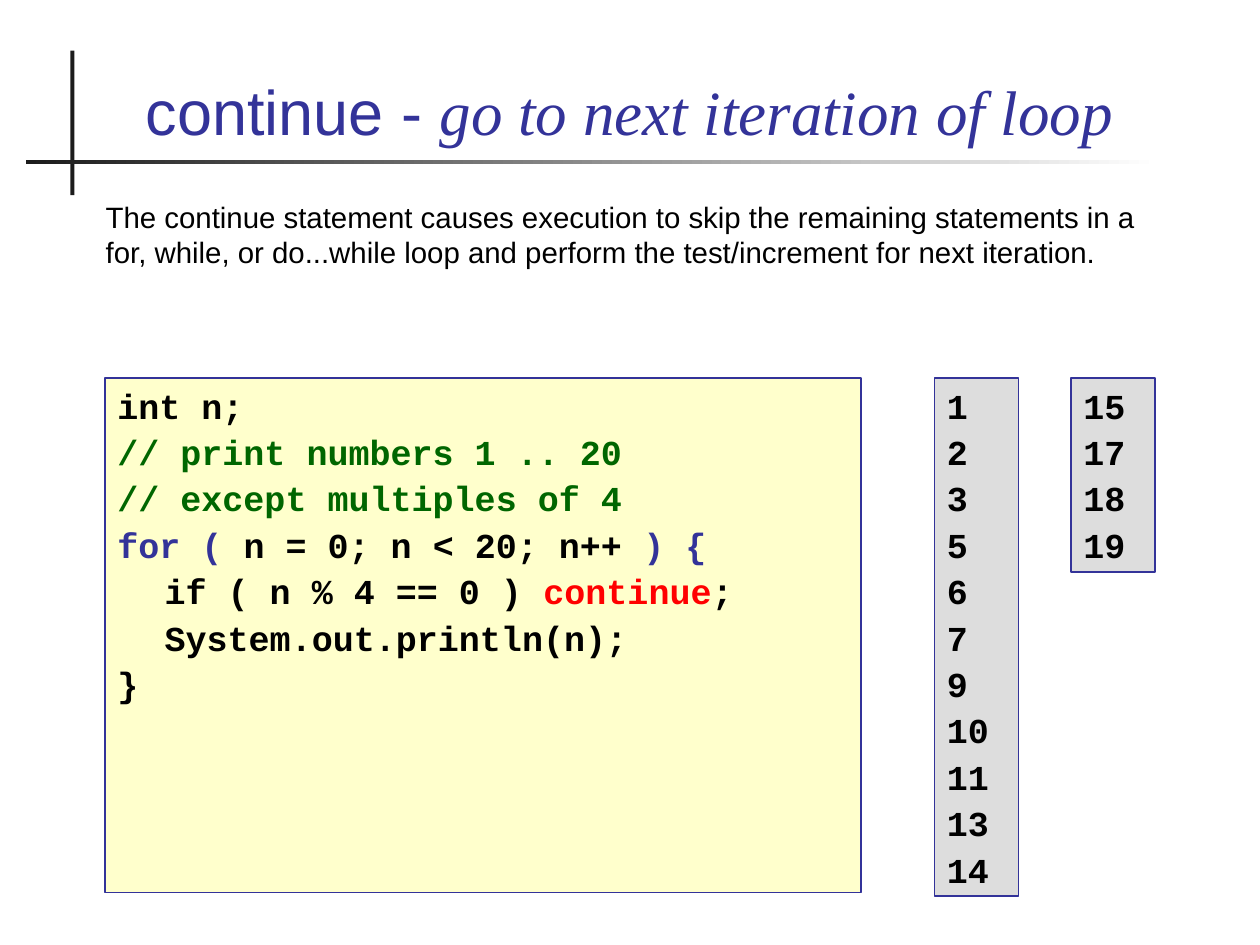
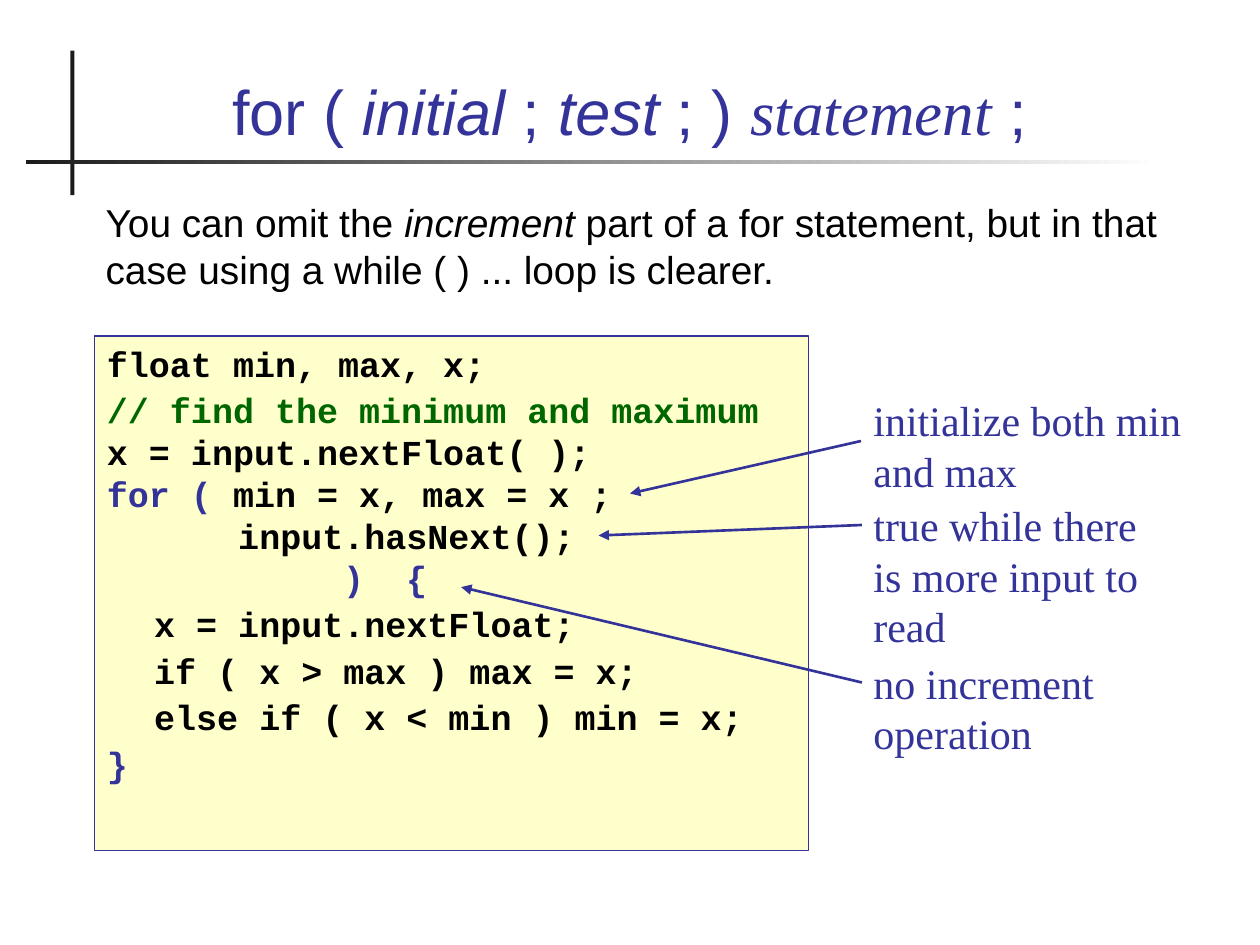
from lxml import etree
from pptx import Presentation
from pptx.dml.color import RGBColor
from pptx.enum.shapes import MSO_CONNECTOR, MSO_SHAPE
from pptx.enum.text import MSO_ANCHOR, MSO_AUTO_SIZE, PP_ALIGN
from pptx.oxml.ns import qn
from pptx.util import Pt

RECTANGLE = MSO_SHAPE.RECTANGLE
STRAIGHT = MSO_CONNECTOR.STRAIGHT
TOP, BOTTOM = MSO_ANCHOR.TOP, MSO_ANCHOR.BOTTOM
LEFT, CENTER = PP_ALIGN.LEFT, PP_ALIGN.CENTER
NO_AUTOFIT = MSO_AUTO_SIZE.NONE

INDIGO = RGBColor(0x33, 0x33, 0x99)
GREEN = RGBColor(0x00, 0x66, 0x00)
RED = RGBColor(0xFF, 0x00, 0x00)
BLACK = RGBColor(0x00, 0x00, 0x00)
WHITE = RGBColor(0xFF, 0xFF, 0xFF)
CHARCOAL = RGBColor(0x1C, 0x1C, 0x1C)
CREAM = RGBColor(0xFF, 0xFF, 0xCC)
SILVER = RGBColor(0xDD, 0xDD, 0xDD)

SERIF = "Times New Roman"
TITLE = {"name": "Arial", "size": Pt(36), "color": INDIGO}
BODY = {"name": "Arial", "color": BLACK}
CODE = {"name": "Courier New", "size": Pt(20), "bold": True, "color": BLACK}
LABEL = {"name": SERIF, "size": Pt(24), "color": INDIGO}

ITALIC = {"italic": True}
SERIF_ITALIC = {"name": SERIF, "italic": True}
KEYWORD = {"color": INDIGO}
COMMENT = {"color": GREEN}

LINE_HEIGHT = 1.2
CODE_PITCH = 20 * LINE_HEIGHT
CODE_GAP = 2.5
CODE_INDENT = 27
CODE_TABS = [0] + [CODE_INDENT + 72 * step for step in range(4)]
INSET_X, INSET_Y = 7.2, 3.6


def write_spans(para, spans, base):
    """Each span is plain text or a (text, changed format) pair."""
    for span in spans:
        text, changes = (span, {}) if isinstance(span, str) else span
        for index, piece in enumerate(text.split("\n")):
            if index:
                para.add_line_break()
            run = para.add_run()
            run.text = piece
            for name, value in {**base, **changes}.items():
                if name == "color":
                    run.font.color.rgb = value
                else:
                    setattr(run.font, name, value)


def set_frame(frame, anchor=TOP):
    settings = {
        "word_wrap": True, "auto_size": NO_AUTOFIT, "vertical_anchor": anchor,
        "margin_left": Pt(INSET_X), "margin_right": Pt(INSET_X),
        "margin_top": Pt(INSET_Y), "margin_bottom": Pt(INSET_Y),
    }
    for name, value in settings.items():
        setattr(frame, name, value)


def add_bar(slide, left, top, width, height):
    bar = slide.shapes.add_shape(RECTANGLE, Pt(left), Pt(top), Pt(width), Pt(height))
    bar.shadow.inherit = False
    bar.line.fill.background()
    return bar


def add_titled_slide(deck, spans):
    slide = deck.slides.add_slide(deck.slide_layouts[5])
    upright = add_bar(slide, 40.2, 29, 2.3, 82.5)
    upright.fill.solid()
    upright.fill.fore_color.rgb = CHARCOAL
    rule = add_bar(slide, 15, 91.5, 647, 2.3)
    rule.fill.gradient()
    rule.fill.gradient_angle = 0
    for stop, color in zip(rule.fill.gradient_stops, (CHARCOAL, WHITE)):
        stop.color.rgb = color

    title = slide.shapes.title
    place = {"left": 48, "top": 20, "width": 623.5, "height": 68.5}
    for name, value in place.items():
        setattr(title, name, Pt(value))
    set_frame(title.text_frame, BOTTOM)
    para = title.text_frame.paragraphs[0]
    para.alignment = CENTER
    write_spans(para, spans, TITLE)
    return slide


def add_text(slide, left, top, width, height, spans, base):
    box = slide.shapes.add_textbox(Pt(left), Pt(top), Pt(width), Pt(height))
    set_frame(box.text_frame)
    para = box.text_frame.paragraphs[0]
    para.line_spacing = Pt(base["size"].pt * LINE_HEIGHT)
    write_spans(para, spans, base)


def add_body(slide, size, spans):
    add_text(slide, 53.3, 110.2, 623.5, 62.6, spans, {**BODY, "size": Pt(size)})


def set_code_tabs(para):
    """Give a hanging indent and the tab stops of a code line."""
    properties = para._p.get_or_add_pPr()
    properties.set("marL", str(Pt(CODE_INDENT)))
    properties.set("indent", str(-Pt(CODE_INDENT)))
    tabs = etree.SubElement(properties, qn("a:tabLst"))
    for stop in CODE_TABS:
        etree.SubElement(tabs, qn("a:tab"), pos=str(Pt(stop)), algn="l")


def add_panel(slide, left, top, width, height, fill, border, lines, tight=()):
    """Framed monospaced lines; the line numbers in tight get no space before."""
    panel = slide.shapes.add_shape(RECTANGLE, Pt(left), Pt(top), Pt(width), Pt(height))
    panel.shadow.inherit = False
    panel.fill.solid()
    panel.fill.fore_color.rgb = fill
    panel.line.color.rgb = INDIGO
    panel.line.width = Pt(border)
    frame = panel.text_frame
    set_frame(frame)
    for index, spans in enumerate(lines):
        para = frame.add_paragraph() if index else frame.paragraphs[0]
        set_code_tabs(para)
        para.alignment = LEFT
        para.line_spacing = Pt(CODE_PITCH)
        if index and index not in tight:
            para.space_before = Pt(CODE_GAP)
        write_spans(para, spans, CODE)


def add_code(slide, left, top, width, lines, tight=()):
    add_panel(slide, left, top, width, 294, CREAM, 0.75, lines, tight)


def add_output(slide, left, numbers):
    count = len(numbers)
    height = count * CODE_PITCH + (count - 1) * CODE_GAP + 2 * INSET_Y
    lines = [[str(number)] for number in numbers]
    add_panel(slide, left, 216, 48, height, SILVER, 1, lines)


def add_arrow(slide, start, end):
    arrow = slide.shapes.add_connector(STRAIGHT, *map(Pt, start + end))
    arrow.line.color.rgb = INDIGO
    arrow.line.width = Pt(1.5)
    etree.SubElement(arrow.line._get_or_add_ln(), qn("a:tailEnd"), type="triangle")
    etree.SubElement(arrow._element.spPr, qn("a:effectLst"))


def build_continue_slide(deck):
    slide = add_titled_slide(
        deck, ["continue - ", ("go to next iteration of loop", SERIF_ITALIC)])
    add_body(slide, 16.8, [
        "The continue statement causes execution to skip the remaining statements "
        "in a for, while, or do...while loop and perform the test/increment for "
        "next iteration."])
    add_code(slide, 60, 216, 432, [
        ["int n;"],
        [("// print numbers 1 .. 20", COMMENT)],
        [("// except multiples of 4", COMMENT)],
        [("for ( ", KEYWORD), "n = 0; n < 20; n++", (" ) {", KEYWORD)],
        ["\tif ( n % 4 == 0 ) ", ("continue", {"color": RED}), ";"],
        ["\tSystem.out.println(n);"],
        ["}"],
    ])
    printed = [n for n in range(20) if n % 4]
    add_output(slide, 534, printed[:11])
    add_output(slide, 612, printed[11:])


def build_omitted_increment_slide(deck):
    slide = add_titled_slide(deck, [
        "for ( ", ("initial ", ITALIC), "; ", ("test", ITALIC), " ; ) ",
        ("statement", SERIF_ITALIC), " ;"])
    add_body(slide, 22.2, [
        "You can omit the ", ("increment", ITALIC),
        " part of a for statement, but in that case using a while ( ) ... "
        "loop is clearer."])
    add_code(slide, 54, 192, 408, [
        ["float min, max, x;"],
        [("// find the minimum and maximum", COMMENT)],
        ["x = input.nextFloat( );"],
        [("for (", KEYWORD), " min = x, max = x ; \n    input.hasNext();"],
        ["\t\t\t\t", (")  {", KEYWORD)],
        ["\tx = input.nextFloat;"],
        ["\tif ( x > max ) max = x;"],
        ["\telse if ( x < min ) min = x;"],
        [("}", KEYWORD)],
    ], tight=(2, 3, 4))
    notes = [
        ("initialize both min and max", 222, 198, 65, (492, 252), (360, 282)),
        ("true while there is more input to read", 282, 186, 93.6, (492.5, 300), (342, 306)),
        ("no increment operation", 372, 198, 65, (492.5, 390), (263.5, 335.5)),
    ]
    for text, top, width, height, start, end in notes:
        add_arrow(slide, start, end)
        add_text(slide, 492, top, width, height, [text], LABEL)


def main():
    deck = Presentation()
    deck.slide_width, deck.slide_height = Pt(720), Pt(540)
    build_continue_slide(deck)
    build_omitted_increment_slide(deck)
    deck.save("out.pptx")


if __name__ == "__main__":
    main()
